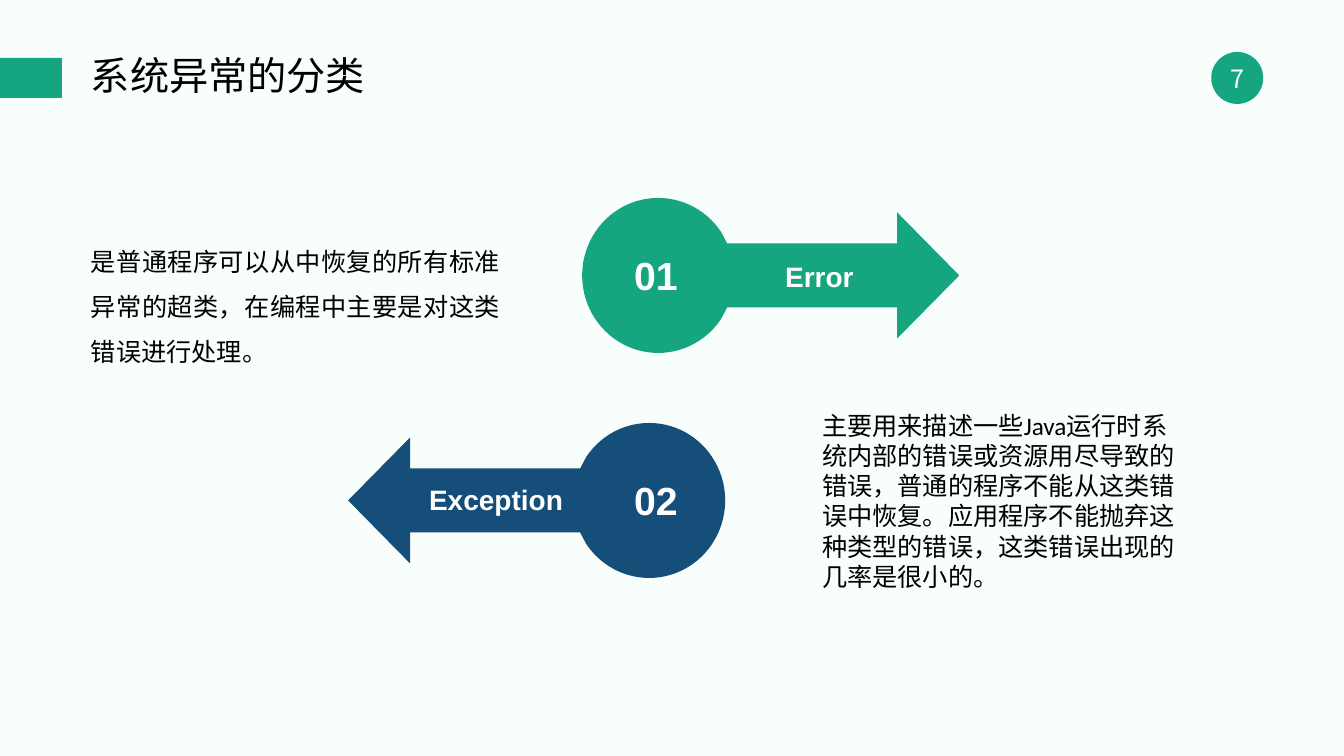
"""Build the slide on the two classes of system exceptions."""
import math
from pptx import Presentation
from pptx import util as u
from pptx.dml.color import RGBColor
from pptx.enum import shapes, text

HUES = {"back": "F8FEFC", "green": "15A681", "lime": "15A680", "blue": "154E79",
        "ink": "000000", "white": "FFFFFF"}
CJK = "Noto Sans CJK SC"
TITLE = "系统异常的分类"
PAGE = "7"
NOTES = [
    ("主要用来描述一些Java运行时系统内部的错误或资源用尽导致的错误，普通的程序不能从这类错误中恢复。"
     "应用程序不能抛弃这种类型的错误，这类错误出现的几率是很小的。",
     (812, 405, 378, 192), {}),
    ("是普通程序可以从中恢复的所有标准异常的超类，在编程中主要是对这类错误进行处理。",
     (81, 226, 429, 142), {"align": "JUSTIFY", "line": 1.5}),
]
BADGES = [
    {"num": "01", "name": "Error", "hue": "lime", "left": 582, "top": 198, "flip": False,
     "tag": (775, 255, 90, 44)},
    {"num": "02", "name": "Exception", "hue": "blue", "left": 348, "top": 423, "flip": True,
     "tag": (419, 478, 156, 44)},
]
WIDE, TALL, HEAD = 377, 155, 315
SCALE = 914400 / 100.8


def px(n):
    return u.Emu(round(n * SCALE))


def paint(shape, hue):
    shape.shadow.inherit = False
    shape.fill.solid()
    shape.fill.fore_color.rgb = RGBColor.from_string(HUES[hue])
    shape.line.fill.background()


def block(kind, box, hue):
    shape = slide.shapes.add_shape(kind, *map(px, box))
    paint(shape, hue)
    return shape


def write(words, box, size=18, font="Calibri", hue="ink", bold=False,
          align="LEFT", anchor="TOP", line=None, wrap=True, fill=None):
    if fill:
        shape = block(shapes.MSO_SHAPE.RECTANGLE, box, fill)
    else:
        shape = slide.shapes.add_textbox(*map(px, box))
    frame = shape.text_frame
    frame.word_wrap = wrap
    frame.vertical_anchor = text.MSO_ANCHOR[anchor]
    para = frame.paragraphs[0]
    para.alignment = text.PP_ALIGN[align]
    if line:
        para.line_spacing = line
    run = para.add_run()
    run.text = words
    run.font.size = u.Pt(size)
    run.font.name = font
    run.font.bold = bold
    run.font.color.rgb = RGBColor.from_string(HUES[hue])
    if font == CJK:
        tag = run.font._element.makeelement(
            "{http://schemas.openxmlformats.org/drawingml/2006/main}ea", {"typeface": CJK})
        run.font._element.append(tag)


def outline():
    mid = TALL / 2
    arc = [(76 + 76 * math.cos(math.radians(a)), mid + mid * math.sin(math.radians(a)))
           for a in range(-34, -327, -4)]
    low = [(145, mid + 32), (HEAD, mid + 32), (HEAD, mid + 63), (WIDE, mid)]
    high = [(x, TALL - y) for x, y in low[-2::-1]]
    return arc + low + high


def badge(num, name, hue, left, top, flip, tag):
    dots = [(px(left + (WIDE - x if flip else x)), px(top + y)) for x, y in outline()]
    pen = slide.shapes.build_freeform(*dots[0])
    pen.add_line_segments(dots[1:], close=True)
    paint(pen.convert_to_shape(), hue)
    look = {"font": "Arial", "hue": "white", "bold": True, "align": "JUSTIFY",
            "wrap": False, "fill": hue}
    write(name, tag, size=20, **look)
    write(num, (624, top + 48, 64, 57), size=28, **look)


deck = Presentation()
deck.slide_width, deck.slide_height = u.Inches(13.33), u.Inches(7.5)
slide = deck.slides.add_slide(deck.slide_layouts[6])
slide.background.fill.solid()
slide.background.fill.fore_color.rgb = RGBColor.from_string(HUES["back"])

block(shapes.MSO_SHAPE.OVAL, (1211, 52, 52, 52), "green")
write(PAGE, (1211, 42, 52, 72), font=CJK, hue="white", align="CENTER", anchor="MIDDLE")
block(shapes.MSO_SHAPE.RECTANGLE, (0, 58, 62, 40), "green")
write(TITLE, (81, 52, 751, 52), size=28, font=CJK, anchor="MIDDLE", line=0.9)
for words, box, look in NOTES:
    write(words, box, **look)
for item in BADGES:
    badge(**item)

deck.save("out.pptx")
